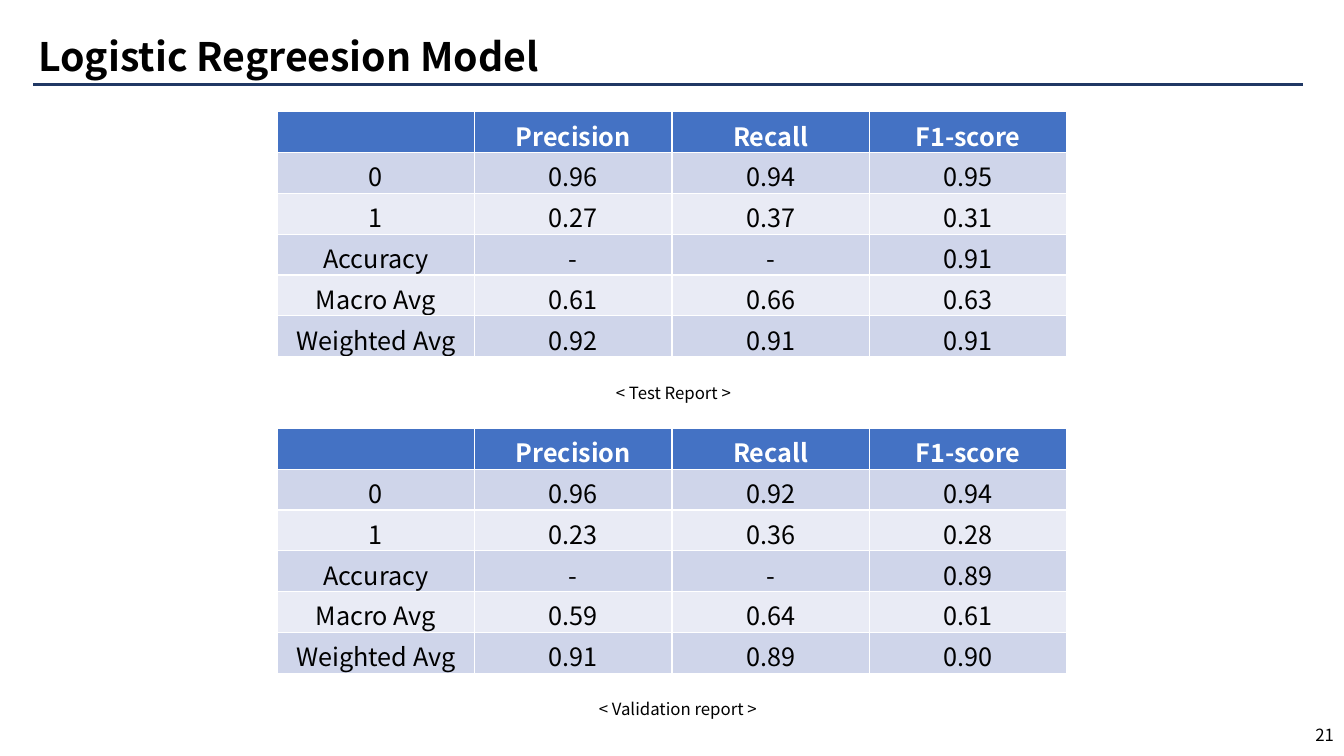
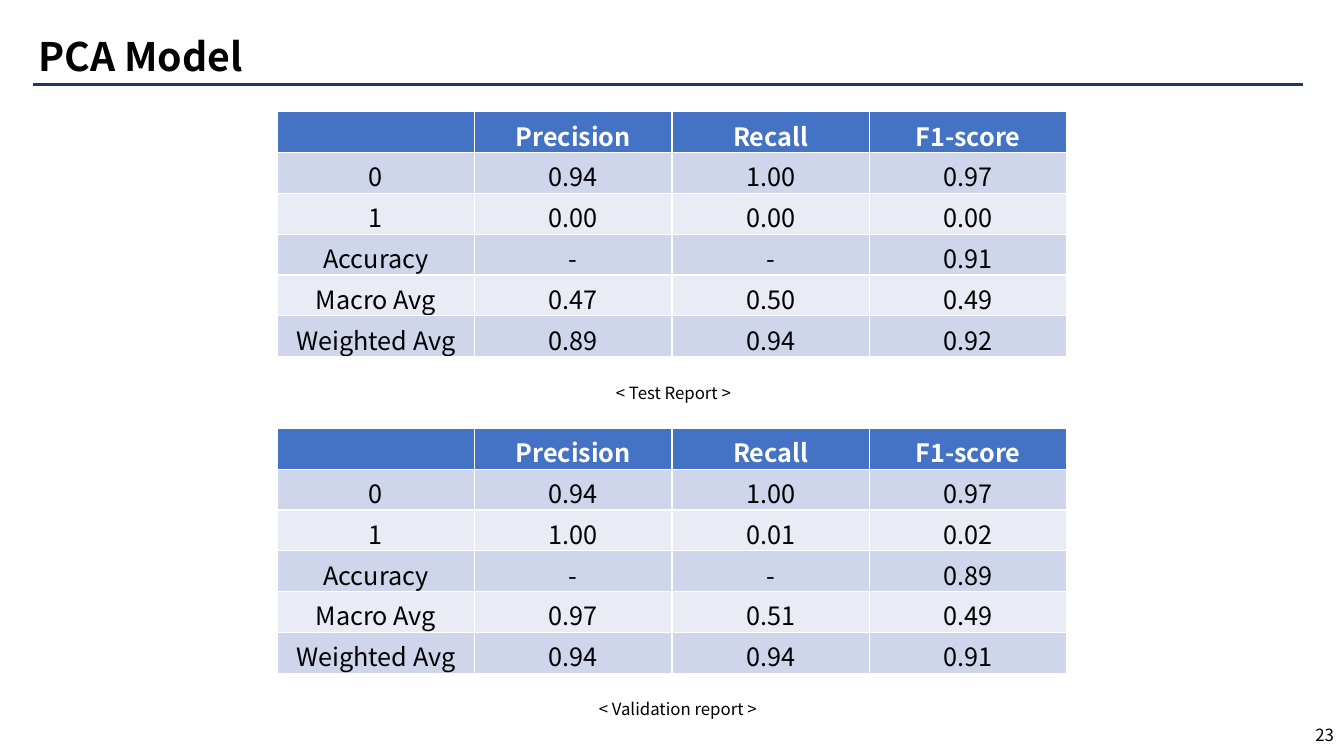
from dataclasses import dataclass

from lxml.etree import SubElement
from pptx import Presentation
from pptx.dml.color import RGBColor
from pptx.enum.shapes import MSO_CONNECTOR
from pptx.enum.text import MSO_ANCHOR, MSO_AUTO_SIZE, PP_ALIGN
from pptx.oxml.ns import qn
from pptx.util import Inches, Pt

FONT = "Noto Sans CJK KR"
BLACK = RGBColor(0x00, 0x00, 0x00)
WHITE = RGBColor(0xFF, 0xFF, 0xFF)
NAVY = RGBColor(0x20, 0x38, 0x64)
BLUE = RGBColor(0x44, 0x72, 0xC4)
BAND_DARK = RGBColor(0xCF, 0xD5, 0xEA)
BAND_LIGHT = RGBColor(0xE9, 0xEB, 0xF5)

HEADERS = ("", "Precision", "Recall", "F1-score")
ROW_LABELS = ("0", "1", "Accuracy", "Macro Avg", "Weighted Avg")
TABLE_LEFT, TABLE_WIDTH, TABLE_HEIGHT = 2.75, 7.83, 2.43


@dataclass(frozen=True)
class ReportSpot:
    """Place of a report table and its caption, in inches."""
    table_top: float
    caption: str
    caption_left: float
    caption_top: float


@dataclass(frozen=True)
class ModelSlide:
    """Title, page number and the scores of both reports, row by row."""
    title: str
    page: str
    test: tuple[str, ...]
    validation: tuple[str, ...]


TEST = ReportSpot(1.11, "< Test Report >", 6.01, 3.75)
VALIDATION = ReportSpot(4.25, "< Validation report >", 5.84, 6.88)

SLIDES = (
    ModelSlide(
        "Logistic Regreesion Model", "21",
        ("0.96 0.94 0.95", "0.27 0.37 0.31", "- - 0.91", "0.61 0.66 0.63", "0.92 0.91 0.91"),
        ("0.96 0.92 0.94", "0.23 0.36 0.28", "- - 0.89", "0.59 0.64 0.61", "0.91 0.89 0.90"),
    ),
    ModelSlide(
        "PCA Model", "23",
        ("0.94 1.00 0.97", "0.00 0.00 0.00", "- - 0.91", "0.47 0.50 0.49", "0.89 0.94 0.92"),
        ("0.94 1.00 0.97", "1.00 0.01 0.02", "- - 0.89", "0.97 0.51 0.49", "0.94 0.94 0.91"),
    ),
)


def apply(target, **values) -> None:
    """Set each named attribute on the target."""
    for name, value in values.items():
        setattr(target, name, value)


def write(tf, text: str, size: int, align=PP_ALIGN.LEFT, color=BLACK, bold=False) -> None:
    """Write one formatted paragraph into a text frame."""
    p = tf.paragraphs[0]
    p.alignment = align
    r = p.add_run()
    r.text = text
    apply(r.font, name=FONT, size=Pt(size), bold=bold)
    r.font.color.rgb = color


def add_title(s, text: str) -> None:
    """Place the title and the rule below it."""
    sp = s.shapes.title
    apply(sp, left=Inches(0.28), top=Inches(0.32), width=Inches(6.72), height=Inches(0.57))
    tf = sp.text_frame
    apply(tf, word_wrap=True, vertical_anchor=MSO_ANCHOR.TOP, auto_size=MSO_AUTO_SIZE.NONE)
    write(tf, text, 28, bold=True)
    tf.paragraphs[0].line_spacing = 0.9
    rule = s.shapes.add_connector(
        MSO_CONNECTOR.STRAIGHT, Inches(0.33), Inches(0.84), Inches(12.92), Inches(0.84))
    rule.line.color.rgb = NAVY
    rule.line.width = Pt(2.25)
    SubElement(rule._element.spPr, qn("a:effectLst"))


def add_label(s, text: str, left: float, top: float, width: float, height: float,
              align=PP_ALIGN.LEFT, anchor=MSO_ANCHOR.TOP) -> None:
    """Add a small text box."""
    tf = s.shapes.add_textbox(Inches(left), Inches(top), Inches(width), Inches(height)).text_frame
    apply(tf, word_wrap=True, vertical_anchor=anchor)
    write(tf, text, 12, align)


def add_report(s, spot: ReportSpot, scores: tuple[str, ...]) -> None:
    """Add a score table with its caption."""
    rows = [HEADERS, *((label, *line.split()) for label, line in zip(ROW_LABELS, scores))]
    table = s.shapes.add_table(
        len(rows), len(HEADERS), Inches(TABLE_LEFT), Inches(spot.table_top),
        Inches(TABLE_WIDTH), Inches(TABLE_HEIGHT)).table
    for i, row in enumerate(rows):
        header = i == 0
        fill = BLUE if header else BAND_DARK if i % 2 else BAND_LIGHT
        for j, text in enumerate(row):
            cell = table.cell(i, j)
            cell.fill.solid()
            cell.fill.fore_color.rgb = fill
            if text:
                write(cell.text_frame, text, 18, PP_ALIGN.CENTER, WHITE if header else BLACK, header)
    add_label(s, spot.caption, spot.caption_left, spot.caption_top, 3.89, 0.3)


def main() -> None:
    """Build and save the presentation."""
    prs = Presentation()
    apply(prs, slide_width=Inches(13.33), slide_height=Inches(7.5))
    for model in SLIDES:
        s = prs.slides.add_slide(prs.slide_layouts[5])
        add_title(s, model.title)
        add_label(s, model.page, 10.33, 7.09, 3, 0.4, PP_ALIGN.RIGHT, MSO_ANCHOR.MIDDLE)
        add_report(s, TEST, model.test)
        add_report(s, VALIDATION, model.validation)
    prs.save("out.pptx")


if __name__ == "__main__":
    main()
